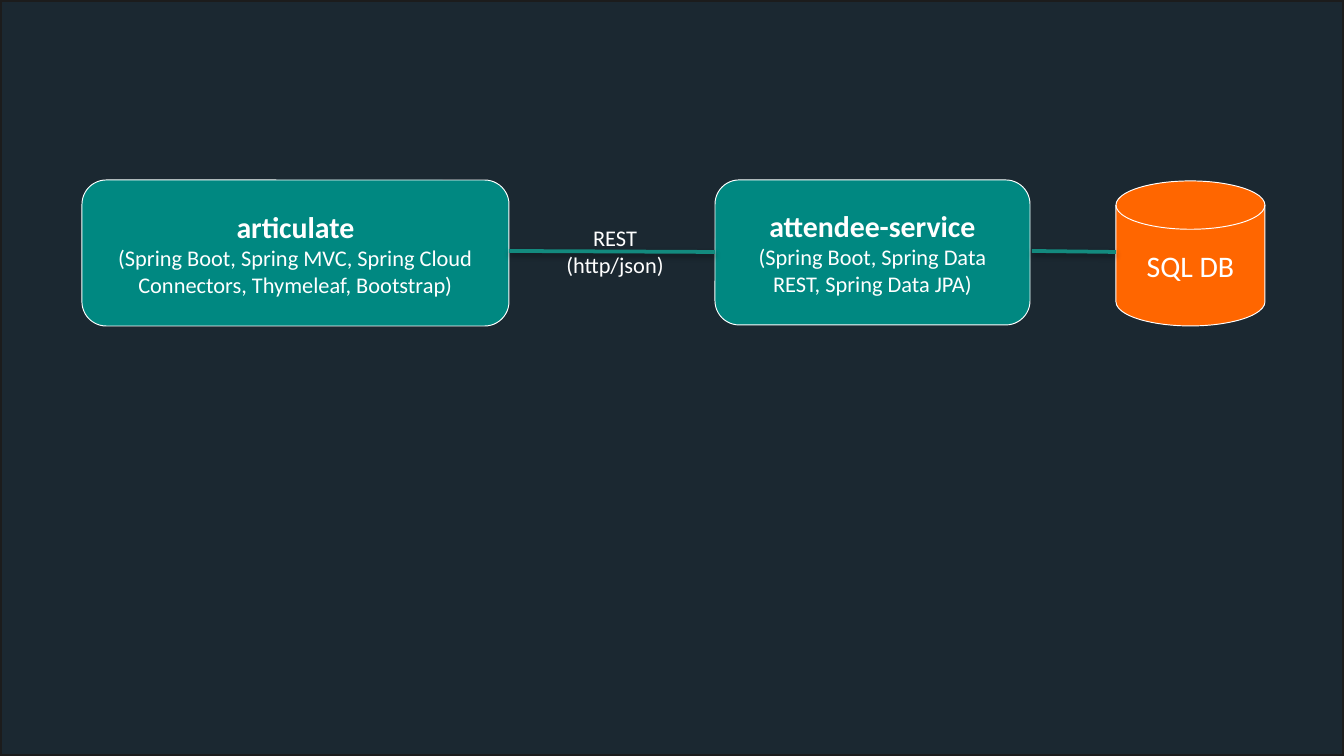
from dataclasses import dataclass

from lxml import etree
from pptx import Presentation
from pptx import util as u
from pptx.dml.color import RGBColor
from pptx.enum import shapes, text
from pptx.oxml import ns

SCALE = 914400 / 134.4
WIDTH, HEIGHT = 1344, 756
FONT = "Calibri"
NAVY = RGBColor(0x1B, 0x28, 0x31)
CHARCOAL = RGBColor(0x1C, 0x1C, 0x1C)
TEAL = RGBColor(0x00, 0x88, 0x81)
LINK_TEAL = RGBColor(0x13, 0x8A, 0x7E)
ORANGE = RGBColor(0xFF, 0x66, 0x00)
WHITE = RGBColor(0xFF, 0xFF, 0xFF)


@dataclass(frozen=True)
class Line:
    wording: str
    size: int
    bold: bool = False


@dataclass(frozen=True)
class Node:
    kind: shapes.MSO_SHAPE
    left: int
    top: int
    width: int
    height: int
    fill: RGBColor
    outline: RGBColor = WHITE
    weight: float = 0.5
    lines: tuple[Line, ...] = ()


@dataclass(frozen=True)
class Link:
    start: tuple[int, int]
    end: tuple[int, int]


BACKDROP = Node(shapes.MSO_SHAPE.RECTANGLE, 0, 0, WIDTH, HEIGHT, NAVY, CHARCOAL, 2)
ARTICULATE = Node(
    shapes.MSO_SHAPE.ROUNDED_RECTANGLE, 82, 180, 427, 146, TEAL,
    lines=(
        Line("articulate", 16, True),
        Line("(Spring Boot, Spring MVC, Spring Cloud Connectors, Thymeleaf, Bootstrap)", 12),
    ),
)
ATTENDEE_SERVICE = Node(
    shapes.MSO_SHAPE.ROUNDED_RECTANGLE, 715, 180, 315, 145, TEAL,
    lines=(
        Line("attendee-service", 16, True),
        Line("(Spring Boot, Spring Data REST, Spring Data JPA)", 12),
    ),
)
DATABASE = Node(
    shapes.MSO_SHAPE.FLOWCHART_MAGNETIC_DISK, 1116, 181, 149, 145, ORANGE,
    lines=(Line("SQL DB", 16),),
)
REST_LINK = Link((509, 251), (715, 252))
DATABASE_LINK = Link((1032, 251), (1116, 252))
REST_LABEL = (Line("REST", 12), Line("(http/json)", 12))


def px(value: int) -> int:
    return u.Emu(round(value * SCALE))


def write_lines(frame, lines: tuple[Line, ...]) -> None:
    for index, line in enumerate(lines):
        paragraph = frame.add_paragraph() if index else frame.paragraphs[0]
        paragraph.alignment = text.PP_ALIGN.CENTER
        run = paragraph.add_run()
        run.text = line.wording
        run.font.name = FONT
        run.font.size = u.Pt(line.size)
        run.font.bold = line.bold
        run.font.color.rgb = WHITE


def add_node(slide, node: Node) -> None:
    shape = slide.shapes.add_shape(
        node.kind, px(node.left), px(node.top), px(node.width), px(node.height)
    )
    shape.shadow.inherit = False
    shape.fill.solid()
    shape.fill.fore_color.rgb = node.fill
    shape.line.color.rgb = node.outline
    shape.line.width = u.Pt(node.weight)
    shape.text_frame.vertical_anchor = text.MSO_ANCHOR.MIDDLE
    write_lines(shape.text_frame, node.lines)


def add_link(slide, link: Link) -> None:
    connector = slide.shapes.add_connector(
        shapes.MSO_CONNECTOR.STRAIGHT, *map(px, link.start + link.end)
    )
    connector.line.color.rgb = LINK_TEAL
    connector.line.width = u.Pt(2)
    properties = connector._element.spPr
    effects = etree.SubElement(properties, ns.qn("a:effectLst"))
    shadow = etree.SubElement(
        effects, ns.qn("a:outerShdw"),
        blurRad=str(u.Pt(3.1)), dist=str(u.Pt(1.6)), dir="5400000", rotWithShape="0",
    )
    color = etree.SubElement(shadow, ns.qn("a:srgbClr"), val="000000")
    etree.SubElement(color, ns.qn("a:alpha"), val="38000")


def add_label(slide, left: int, top: int, width: int, height: int, lines: tuple[Line, ...]) -> None:
    label = slide.shapes.add_textbox(px(left), px(top), px(width), px(height))
    label.text_frame.word_wrap = False
    label.text_frame.auto_size = text.MSO_AUTO_SIZE.SHAPE_TO_FIT_TEXT
    write_lines(label.text_frame, lines)


presentation = Presentation()
presentation.slide_width = px(WIDTH)
presentation.slide_height = px(HEIGHT)
slide = presentation.slides.add_slide(presentation.slide_layouts[6])

for node in (BACKDROP, ARTICULATE, ATTENDEE_SERVICE):
    add_node(slide, node)
add_link(slide, REST_LINK)
add_label(slide, 543, 218, 144, 67, REST_LABEL)
add_node(slide, DATABASE)
add_link(slide, DATABASE_LINK)

presentation.save("out.pptx")
